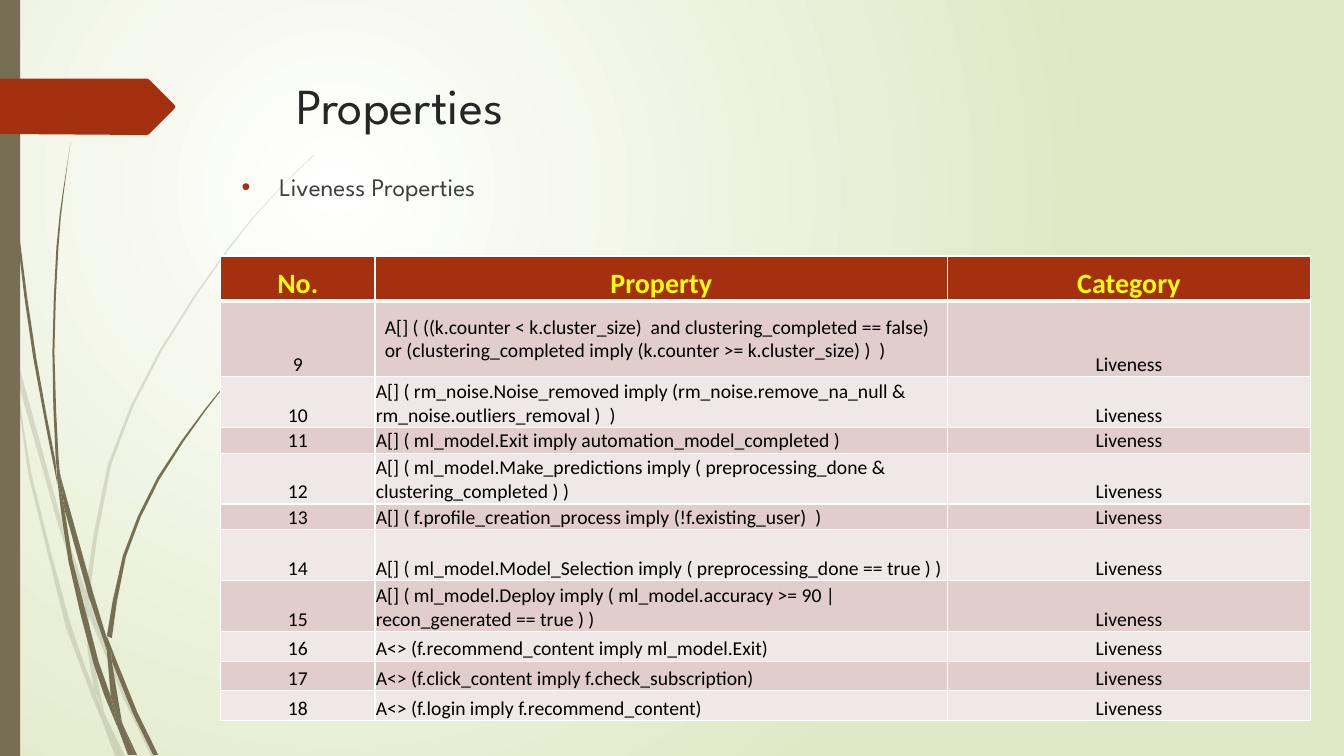
from dataclasses import dataclass

from pptx import Presentation
from pptx.dml.color import RGBColor
from pptx.enum.shapes import MSO_SHAPE
from pptx.enum.text import MSO_ANCHOR, MSO_AUTO_SIZE, PP_ALIGN
from pptx.oxml import parse_xml
from pptx.oxml.ns import nsdecls, qn
from pptx.util import Cm, Pt

RECTANGLE = MSO_SHAPE.RECTANGLE
TOP, MIDDLE, BOTTOM = MSO_ANCHOR.TOP, MSO_ANCHOR.MIDDLE, MSO_ANCHOR.BOTTOM
LEFT, CENTER = PP_ALIGN.LEFT, PP_ALIGN.CENTER
NO_AUTOFIT = MSO_AUTO_SIZE.NONE

COLORS = {
    "white": "FFFFFF", "pale green": "DFE8C4", "olive": "766F54",
    "rust": "A53010", "title": "262626", "body": "404040",
    "yellow": "FFFF00", "black": "000000",
    "dark band": "E1CDCC", "light band": "F0E8E7",
}
HEADING_FONT, TABLE_FONT = "League Spartan", "Calibri"
UNIT = Cm(2.54) / 100  # outline points are hundredths of an inch
LONG_EDGE = 5  # edges with at least this many points are smoothed

Point = tuple[float, float]


@dataclass(frozen=True)
class Blade:
    """A sliver of grass: one edge out, the other edge back."""
    out: list[Point]
    back: list[Point]


@dataclass(frozen=True)
class PropertyRow:
    number: str
    formula: str
    height: float
    inset: float = 0.02
    anchor: MSO_ANCHOR = BOTTOM


FAINT_GRASS = [
    Blade([(11, 350), (9, 322), (0, 282)], [(0, 299), (10, 344)]),
    Blade([(17, 376), (58, 522), (84, 599)], [(85, 586), (62, 520), (14, 345)]),
    Blade([(88, 596), (127, 692), (155, 750)], [(150, 750), (123, 694), (88, 610)]),
    Blade([(105, 711), (119, 750)], [(124, 750)]),
    Blade([(11, 350), (17, 376), (31, 469), (70, 619), (93, 683), (101, 714)],
          [(92, 693), (65, 621), (28, 470), (11, 350)]),
    Blade([(84, 599), (87, 646), (93, 683), (105, 711)], [(103, 706), (91, 646), (88, 610)]),
    Blade([(85, 586), (107, 461), (158, 348), (228, 244), (268, 197), (289, 175), (312, 153)],
          [(312, 154), (290, 175), (268, 198), (229, 245), (160, 349), (110, 462), (88, 596)]),
    Blade([(101, 714), (114, 750)], [(119, 750)]),
    Blade([(85, 586), (84, 599)], [(88, 610), (88, 596)]),
    Blade([(93, 683), (101, 714), (119, 750)], [(105, 711), (96, 692)]),
]
SOLID_GRASS = [
    Blade([(3, 0), (4, 48), (7, 110), (17, 233), (33, 355), (57, 481)],
          [(55, 457), (36, 355), (19, 232), (8, 109), (5, 48), (4, 0)]),
    Blade([(60, 472), (64, 505), (88, 592), (106, 645)], [(106, 633), (93, 590)]),
    Blade([(110, 641), (111, 656), (132, 708), (152, 749)], [(157, 749), (136, 706), (113, 649)]),
    Blade([(57, 477), (68, 557), (93, 659), (111, 708), (117, 722)],
          [(110, 691), (98, 657), (72, 556), (64, 505)]),
    Blade([(60, 472), (58, 453), (54, 349), (58, 245), (63, 193), (70, 141)],
          [(62, 193), (56, 245), (52, 349), (55, 449), (60, 472)]),
    Blade([(122, 719), (133, 749)], [(136, 749)]),
    Blade([(55, 449), (57, 477), (64, 505)], [(60, 472)]),
    Blade([(106, 631), (122, 551), (156, 474), (204, 405), (231, 373), (245, 358), (260, 344)],
          [(261, 344), (245, 359), (231, 374), (205, 406), (158, 476), (125, 552), (111, 633)]),
    Blade([(117, 722), (127, 749)], [(131, 749)]),
    Blade([(106, 645), (110, 691), (116, 706), (122, 719)], [(121, 716), (111, 656), (109, 651)]),
    Blade([(106, 631), (106, 645), (111, 656)], [(110, 641)]),
    Blade([(110, 691), (117, 722), (130, 749)], [(133, 749), (122, 719), (116, 706)]),
]
ARROW_TAB = [(0, 78), (146, 78), (148, 79), (173, 104), (174, 106),
             (173, 108), (148, 133), (146, 134), (0, 133)]

HEADERS = ["No.", "Property", "Category"]
HEADER_HEIGHT = 1.14
CATEGORY = "Liveness"
COLUMN_WIDTHS = [3.89, 14.43, 9.14]
PROPERTIES = [
    PropertyRow("9", "A[] ( ((k.counter < k.cluster_size)  and clustering_completed == false) "
                "or (clustering_completed imply (k.counter >= k.cluster_size) )  )",
                1.9, inset=0.25, anchor=MIDDLE),
    PropertyRow("10", "A[] ( rm_noise.Noise_removed imply (rm_noise.remove_na_null & "
                "rm_noise.outliers_removal )  )", 1.28),
    PropertyRow("11", "A[] ( ml_model.Exit imply automation_model_completed )", 0.65),
    PropertyRow("12", "A[] ( ml_model.Make_predictions imply ( preprocessing_done & "
                "clustering_completed ) )", 1.28),
    PropertyRow("13", "A[] ( f.profile_creation_process imply (!f.existing_user)  )", 0.65),
    PropertyRow("14", "A[] ( ml_model.Model_Selection imply ( preprocessing_done == true ) )", 1.28),
    PropertyRow("15", "A[] ( ml_model.Deploy imply ( ml_model.accuracy >= 90 | "
                "recon_generated == true ) )", 1.28),
    PropertyRow("16", "A<> (f.recommend_content imply ml_model.Exit)", 0.75),
    PropertyRow("17", "A<> (f.click_content imply f.check_subscription)", 0.75),
    PropertyRow("18", "A<> (f.login imply f.recommend_content)", 0.75),
]


def rgb(name: str) -> RGBColor:
    return RGBColor.from_string(COLORS[name])


def write(frame, text: str, *, font: str, size: float, color: str,
          bold: bool = False, align: PP_ALIGN = LEFT):
    para = frame.paragraphs[0]
    para.alignment = align
    span = para.add_run()
    span.text = text
    span.font.name, span.font.size, span.font.bold = font, Pt(size), bold
    span.font.color.rgb = rgb(color)
    return para


def paint(shape, color: str, opacity: int = 100) -> None:
    shape.shadow.inherit = False
    shape.fill.solid()
    shape.fill.fore_color.rgb = rgb(color)
    shape.line.fill.background()
    if opacity < 100:
        fill_color = next(shape.element.iter(qn("a:srgbClr")))
        fill_color.append(parse_xml(f'<a:alpha {nsdecls("a")} val="{opacity * 1000}"/>'))


def smooth(points: list[Point]) -> list[Point]:
    """Put a Catmull-Rom midpoint into each step of a long edge."""
    if len(points) < LONG_EDGE:
        return points
    padded = [points[0], *points, points[-1]]
    curve = [points[0]]
    for a, b, c, d in zip(padded, padded[1:], padded[2:], padded[3:]):
        middle = tuple((9 * (q + r) - p - s) / 16 for p, q, r, s in zip(a, b, c, d))
        curve += [middle, c]
    return curve


def add_outline(shapes, points: list[Point], color: str, opacity: int = 100) -> None:
    start, *others = [(x * UNIT, y * UNIT) for x, y in points]
    builder = shapes.build_freeform(*start)
    builder.add_line_segments(others, close=True)
    paint(builder.convert_to_shape(), color, opacity)


def add_grass(page, blades: list[Blade], opacity: int) -> None:
    group = page.shapes.add_group_shape()
    for blade in blades:
        add_outline(group.shapes, smooth(blade.out) + smooth(blade.back), "olive", opacity)


def set_background(page) -> None:
    fill = page.background.fill
    fill.gradient()
    for stop, color in zip(fill.gradient_stops, ("white", "pale green")):
        stop.color.rgb = rgb(color)
    linear = next(page.element.iter(qn("a:lin")))
    linear.getparent().replace(linear, parse_xml(
        f'<a:path {nsdecls("a")} path="circle">'
        '<a:fillToRect l="50000" t="50000" r="100000" b="100000"/></a:path>'))


def add_title(page) -> None:
    title = page.shapes.title
    title.left, title.top, title.width, title.height = Cm(7.21), Cm(1.73), Cm(24.77), Cm(2.46)
    title.text_frame.vertical_anchor = TOP
    title.text_frame.auto_size = NO_AUTOFIT
    write(title.text_frame, "Properties", font=HEADING_FONT, size=36, color="title")
    title.element.getparent().append(title.element)


def add_bullet(page) -> None:
    box = page.shapes.add_textbox(Cm(5.84), Cm(4.19), Cm(26.11), Cm(12.24))
    box.text_frame.word_wrap = True
    para = write(box.text_frame, "Liveness Properties", font=HEADING_FONT, size=18, color="body")
    para.space_before = Pt(10)
    indent = Cm(0.95)
    settings = next(box.element.iter(qn("a:pPr")))
    settings.set("marL", str(indent))
    settings.set("indent", str(-indent))
    for xml in (f'<a:buClr {nsdecls("a")}><a:srgbClr val="{COLORS["rust"]}"/></a:buClr>',
                f'<a:buFont {nsdecls("a")} typeface="Arial"/>',
                f'<a:buChar {nsdecls("a")} char="•"/>'):
        settings.append(parse_xml(xml))


def fill_cell(cell, text: str, fill: str, *, inset: float = 0.02,
              anchor: MSO_ANCHOR = BOTTOM, **text_format) -> None:
    cell.margin_left, cell.margin_right = Cm(inset), Cm(0.02)
    cell.margin_top, cell.margin_bottom = Cm(0.02), 0
    cell.vertical_anchor = anchor
    cell.fill.solid()
    cell.fill.fore_color.rgb = rgb(fill)
    write(cell.text_frame, text, font=TABLE_FONT, **text_format)


def add_borders(frame) -> None:
    """White rules round each cell, thicker below the header."""
    for row, element in enumerate(frame.element.iter(qn("a:tr"))):
        widths = {"L": 1, "R": 1, "T": 3 if row == 1 else 1, "B": 3 if row == 0 else 1}
        for settings in element.iter(qn("a:tcPr")):
            for place, (side, width) in enumerate(widths.items()):
                settings.insert(place, parse_xml(
                    f'<a:ln{side} {nsdecls("a")} w="{Pt(width)}"><a:solidFill>'
                    f'<a:srgbClr val="{COLORS["white"]}"/></a:solidFill></a:ln{side}>'))


def add_property_table(page) -> None:
    heights = [HEADER_HEIGHT, *(row.height for row in PROPERTIES)]
    frame = page.shapes.add_table(len(heights), len(HEADERS), Cm(5.56), Cm(6.45),
                                  Cm(sum(COLUMN_WIDTHS)), Cm(sum(heights)))
    table = frame.table
    table.horz_banding = False
    for column, width in zip(table.columns, COLUMN_WIDTHS):
        column.width = Cm(width)
    for row, height in zip(table.rows, heights):
        row.height = Cm(height)
    for column, header in enumerate(HEADERS):
        fill_cell(table.cell(0, column), header, "rust", size=20, color="yellow",
                  bold=True, align=CENTER)
    for index, row in enumerate(PROPERTIES, start=1):
        number, formula, category = table.rows[index].cells
        band = "dark band" if index % 2 else "light band"
        fill_cell(number, row.number, band, size=14, color="black", align=CENTER)
        fill_cell(formula, row.formula, band, inset=row.inset, anchor=row.anchor,
                  size=14, color="black")
        fill_cell(category, CATEGORY, band, size=14, color="black", align=CENTER)
    add_borders(frame)


def main() -> None:
    deck = Presentation()
    deck.slide_width, deck.slide_height = Cm(33.87), Cm(19.05)
    page = deck.slides.add_slide(deck.slide_layouts.get_by_name("Title Only"))
    set_background(page)
    add_grass(page, FAINT_GRASS, opacity=20)
    add_grass(page, SOLID_GRASS, opacity=100)
    paint(page.shapes.add_shape(RECTANGLE, 0, 0, Cm(0.51), deck.slide_height), "olive")
    add_outline(page.shapes, ARROW_TAB, "rust")
    add_title(page)
    add_bullet(page)
    add_property_table(page)
    deck.save("out.pptx")


if __name__ == "__main__":
    main()
